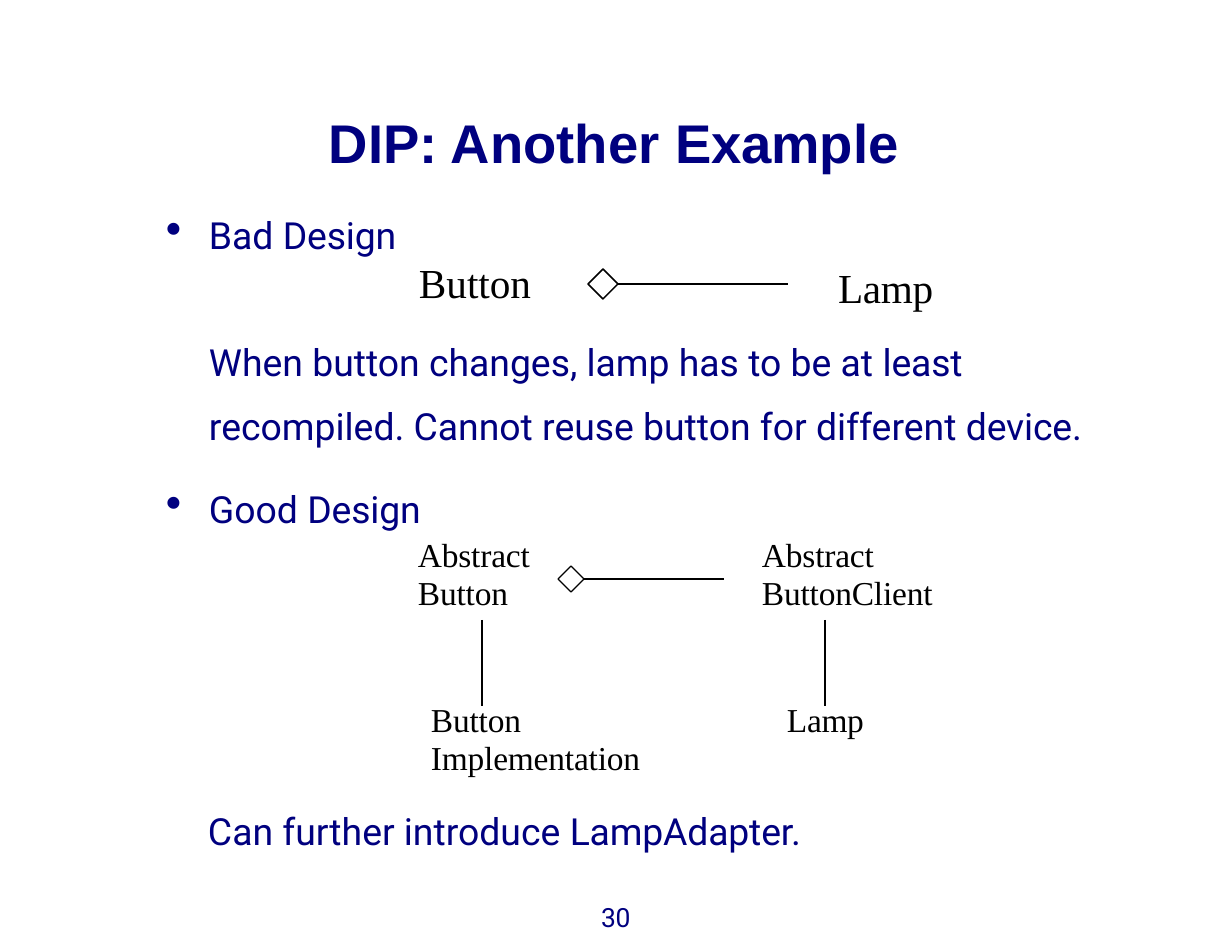
from dataclasses import dataclass
from typing import NamedTuple

from lxml.etree import SubElement
from pptx import Presentation
from pptx.dml.color import RGBColor
from pptx.enum.text import MSO_ANCHOR, MSO_AUTO_SIZE, PP_ALIGN
from pptx.enum.shapes import MSO_CONNECTOR
from pptx.oxml.ns import qn
from pptx.util import Emu, Pt

EMU_PER_PX = 914400 / 112
NAVY = RGBColor(0x00, 0x00, 0x7F)
BLACK = RGBColor(0x00, 0x00, 0x00)


class Style(NamedTuple):
    font: str
    size: float
    color: RGBColor
    bold: bool = False


class Run(NamedTuple):
    text: str
    tracking: int = 0


class Box(NamedTuple):
    left: int
    top: int
    width: int
    height: int


@dataclass(frozen=True)
class Paragraph:
    style: Style
    runs: tuple[Run, ...]
    before: float
    margin: int = 1
    bulleted: bool = False
    line_spacing: float | Pt | None = None


@dataclass(frozen=True)
class TextBlock:
    box: Box
    paragraphs: tuple[Paragraph, ...]
    inset_top: int = 2


class Aggregation(NamedTuple):
    left: int
    middle: int
    radius: int
    end: int
    weight: float


class Inheritance(NamedTuple):
    x: int
    top: int
    bottom: int


HEADING = Style("Arial", 35, NAVY, True)
BODY = Style("Roboto", 24, NAVY)
LARGE_CLASS = Style("Times New Roman", 26.5, BLACK)
SMALL_CLASS = Style("Times New Roman", 21.5, BLACK)
PAGE = Style("Roboto", 17, NAVY)


def px(length: float) -> Emu:
    return Emu(round(length * EMU_PER_PX))


def write_paragraph(target, content: Paragraph) -> None:
    target.alignment = PP_ALIGN.LEFT
    target.space_before = Pt(content.before)
    if content.line_spacing:
        target.line_spacing = content.line_spacing
    properties = target._p.get_or_add_pPr()
    properties.set("marL", str(px(content.margin)))
    properties.set("indent", str(px(-43 if content.bulleted else 0)))
    if content.bulleted:
        SubElement(properties, qn("a:buSzPct"), val="123000")
        SubElement(properties, qn("a:buChar"), char="•")
    for text, tracking in content.runs:
        run = target.add_run()
        run.text = text
        run.font.name = content.style.font
        run.font.size = Pt(content.style.size)
        run.font.bold = content.style.bold
        run.font.color.rgb = content.style.color
        if tracking:
            run._r.get_or_add_rPr().set("spc", str(tracking))


def fill_text(holder, block: TextBlock) -> None:
    holder.left, holder.top, holder.width, holder.height = map(px, block.box)
    frame = holder.text_frame
    frame.word_wrap = True
    frame.auto_size = MSO_AUTO_SIZE.NONE
    frame.vertical_anchor = MSO_ANCHOR.TOP
    frame.margin_left = frame.margin_right = frame.margin_bottom = 0
    frame.margin_top = px(block.inset_top)
    for index, content in enumerate(block.paragraphs):
        target = frame.add_paragraph() if index else frame.paragraphs[0]
        write_paragraph(target, content)


def add_text(slide, block: TextBlock) -> None:
    fill_text(slide.shapes.add_textbox(*map(px, block.box)), block)


def add_aggregation(slide, link: Aggregation) -> None:
    left, middle, radius, end, weight = link
    center, right = left + radius, left + 2 * radius
    builder = slide.shapes.build_freeform(right, middle, scale=EMU_PER_PX)
    builder.add_line_segments([(end, middle)], close=False)
    builder.move_to(right, middle)
    builder.add_line_segments(
        [(center, middle - radius), (left, middle), (center, middle + radius)]
    )
    outline = builder.convert_to_shape()
    outline.shadow.inherit = False
    outline.fill.background()
    outline.line.color.rgb = BLACK
    outline.line.width = Pt(weight)


def add_inheritance(slide, link: Inheritance) -> None:
    connector = slide.shapes.add_connector(
        MSO_CONNECTOR.STRAIGHT, px(link.x), px(link.top), px(link.x), px(link.bottom)
    )
    connector.line.color.rgb = BLACK
    connector.line.width = Pt(0.75)
    SubElement(connector._element.spPr, qn("a:effectLst"))


def class_label(box: Box, name: str) -> TextBlock:
    paragraph = Paragraph(SMALL_CLASS, (Run(name, -10),), 3.1, line_spacing=Pt(24.6))
    return TextBlock(box, (paragraph,), inset_top=4)


def single(box: Box, style: Style, before: float, *runs: Run, margin: int = 1) -> TextBlock:
    return TextBlock(box, (Paragraph(style, runs, before, margin),))


HEADLINE = single(
    Box(140, 107, 953, 68), HEADING, 1.1,
    Run("DIP: Another "), Run("Example", -10), margin=189,
)
DESIGNS = TextBlock(
    Box(165, 210, 926, 325),
    (
        Paragraph(BODY, (Run("Bad "), Run("Design", -10)), 1.4, 44, bulleted=True),
        Paragraph(LARGE_CLASS, (Run("Button"),), 0.6, 254),
        Paragraph(
            BODY,
            (
                Run("When button changes, lamp has to be at "),
                Run("least ", -10),
                Run("recompiled. Cannot reuse button for different "),
                Run("device.", -10),
            ),
            8.6, 44, line_spacing=1.42,
        ),
        Paragraph(BODY, (Run("Good "), Run("Design", -10)), 24.9, 44, bulleted=True),
    ),
)
LABELS = (
    single(Box(837, 260, 120, 52), LARGE_CLASS, 0.6, Run("Lamp", -20)),
    class_label(Box(417, 532, 118, 82), "Abstract Button"),
    class_label(Box(761, 532, 178, 82), "Abstract ButtonClient"),
    class_label(Box(430, 697, 218, 82), "Button Implementation"),
    single(Box(786, 697, 83, 44), SMALL_CLASS, 1.3, Run("Lamp", -20)),
    single(
        Box(207, 806, 608, 48), BODY, 1.4,
        Run("Can further introduce "), Run("LampAdapter.", -10),
    ),
    TextBlock(Box(597, 901, 40, 36), (Paragraph(PAGE, (Run("30", -20),), 0.2, 4),), 0),
)
AGGREGATIONS = (Aggregation(588, 284, 15, 788, 1), Aggregation(558, 579, 13, 724, 0.82))
INHERITANCES = (Inheritance(482, 620, 706), Inheritance(825, 620, 706))


def main() -> None:
    presentation = Presentation()
    presentation.slide_width, presentation.slide_height = px(1232), px(952)
    slide = presentation.slides.add_slide(presentation.slide_layouts[5])
    fill_text(slide.shapes.title, HEADLINE)
    add_text(slide, DESIGNS)
    for label in LABELS:
        add_text(slide, label)
    for aggregation in AGGREGATIONS:
        add_aggregation(slide, aggregation)
    for inheritance in INHERITANCES:
        add_inheritance(slide, inheritance)
    presentation.save("out.pptx")


if __name__ == "__main__":
    main()
